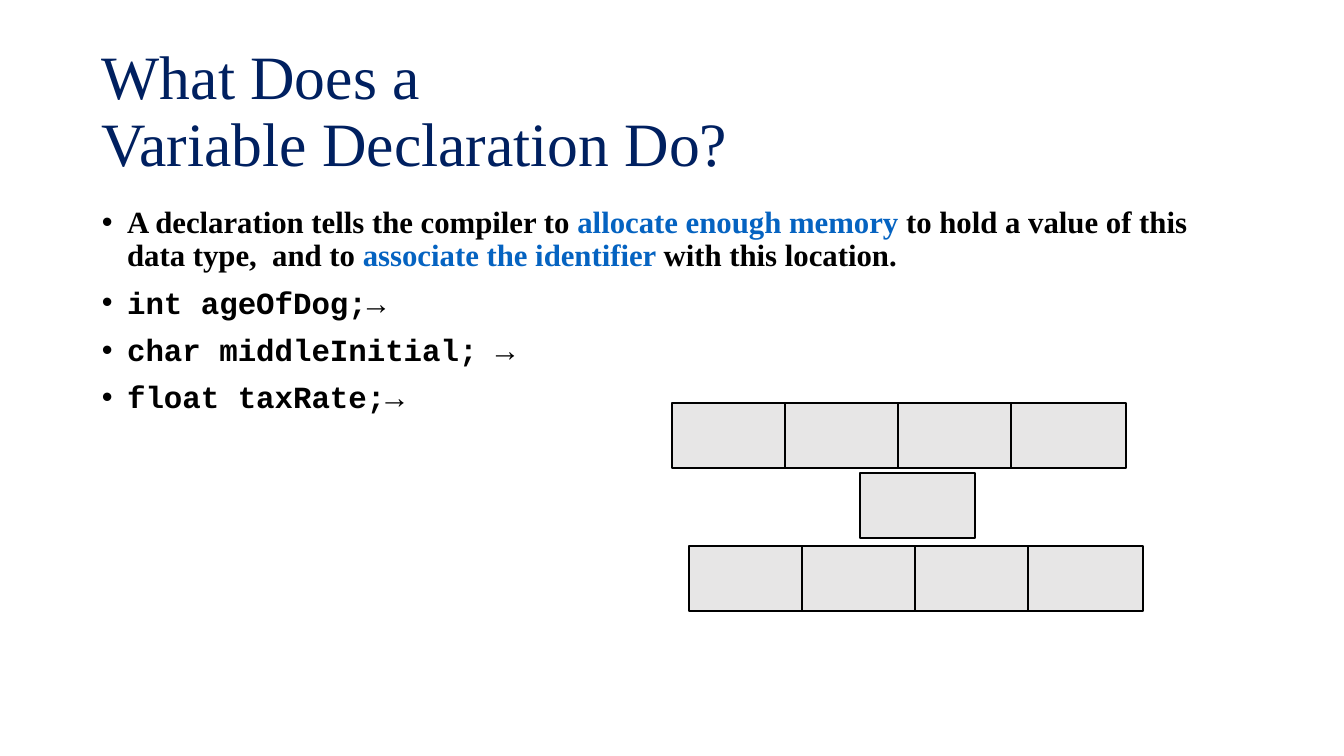
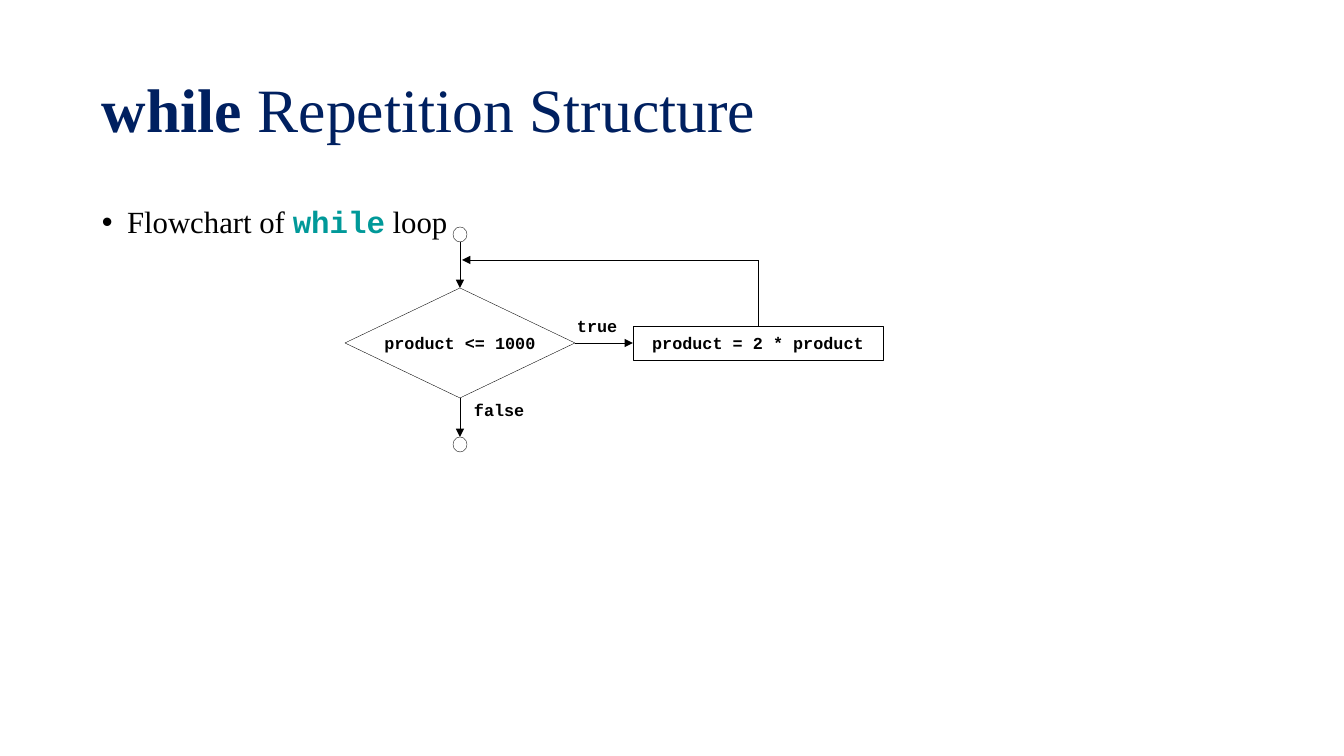
from lxml.etree import SubElement
from pptx import Presentation
from pptx.dml.color import RGBColor
from pptx.enum.shapes import MSO_CONNECTOR as CONNECTOR, MSO_SHAPE as SHAPE
from pptx.enum.text import MSO_ANCHOR as ANCHOR, PP_ALIGN as ALIGN
from pptx.oxml.ns import qn
from pptx.util import Pt

PX = 12192000 / 1344
SERIF, MONO = "Times New Roman", "Courier New"
NAVY, BLACK, BLUE, TEAL = "002060", "000000", "0563C1", "009999"
WHITE, GREY = "FFFFFF", "E7E6E6"
TITLE_SIZE, BODY_SIZE, LABEL_SIZE = 44, 22, 12
THIN = 0.25


def px(*lengths):
    return [round(length * PX) for length in lengths]


def rgb(value):
    return RGBColor.from_string(value)


prs = Presentation()
prs.slide_width, prs.slide_height = px(1344, 756)

# Titles and bullets: each run is (text, font, colour, bold)
slide_texts = [
    (
        [("What Does a \vVariable Declaration Do?", SERIF, NAVY, False)],
        [
            [
                ("A declaration tells the compiler to ", SERIF, BLACK, True),
                ("allocate enough memory ", SERIF, BLUE, True),
                ("to hold a value of this data type,  and to ", SERIF, BLACK, True),
                ("associate the identifier ", SERIF, BLUE, True),
                ("with this location.", SERIF, BLACK, True),
            ],
            [("int ageOfDog;→", MONO, BLACK, True)],
            [("char middleInitial; →", MONO, BLACK, True)],
            [("float taxRate;→", MONO, BLACK, True)],
        ],
    ),
    (
        [("while", SERIF, NAVY, True), (" Repetition Structure", SERIF, NAVY, False)],
        [
            [
                ("Flowchart of ", SERIF, BLACK, False),
                ("while", MONO, TEAL, True),
                (" loop", SERIF, BLACK, False),
            ],
        ],
    ),
]

slides = []
for title, bullets in slide_texts:
    slide = prs.slides.add_slide(prs.slide_layouts[6])
    slides.append(slide)
    for top, height, size, anchor, lines in [
        (40, 146, TITLE_SIZE, ANCHOR.MIDDLE, [title]),
        (202, 480, BODY_SIZE, ANCHOR.TOP, bullets),
    ]:
        frame = slide.shapes.add_textbox(*px(92, top, 1159, height)).text_frame
        frame.word_wrap = True
        frame.vertical_anchor = anchor
        for number, line in enumerate(lines):
            paragraph = frame.add_paragraph() if number else frame.paragraphs[0]
            paragraph.line_spacing = 0.9
            paragraph.space_before = Pt(10 if number else 0)
            if lines is bullets:
                properties = paragraph._p.get_or_add_pPr()
                properties.set("marL", "228600")
                properties.set("indent", "-228600")
                SubElement(properties, qn("a:buFont")).set("typeface", "Arial")
                SubElement(properties, qn("a:buChar")).set("char", "•")
            for text, font, color, bold in line:
                for part_number, part in enumerate(text.split("\v")):
                    if part_number:
                        paragraph.add_line_break()
                    run = paragraph.add_run()
                    run.text = part
                    run.font.name, run.font.size = font, Pt(size)
                    run.font.bold = bold
                    run.font.color.rgb = rgb(color)

declaration_slide, while_slide = slides

# Memory cells: one row per declared variable
CELL_WIDTH, CELL_HEIGHT, CELL_PITCH = 115, 65, 113
for left, top, byte_count in [(672, 403, 4), (860, 473, 1), (689, 546, 4)]:
    for byte in range(byte_count):
        cell = declaration_slide.shapes.add_shape(
            SHAPE.RECTANGLE,
            *px(left + byte * CELL_PITCH, top, CELL_WIDTH, CELL_HEIGHT))
        cell.shadow.inherit = False
        cell.fill.solid()
        cell.fill.fore_color.rgb = rgb(GREY)
        cell.line.color.rgb = rgb(BLACK)
        cell.line.width = Pt(1.5)

# Flowchart nodes
nodes = []
for kind, box, text in [
    (SHAPE.DIAMOND, (345, 288, 230, 110), "product <= 1000"),
    (SHAPE.RECTANGLE, (633, 326, 250, 34), "product = 2 * product"),
    (SHAPE.OVAL, (453, 227, 14, 15), ""),
    (SHAPE.OVAL, (453, 437, 14, 15), ""),
]:
    node = while_slide.shapes.add_shape(kind, *px(*box))
    node.shadow.inherit = False
    if kind == SHAPE.DIAMOND:
        node.fill.solid()
        node.fill.fore_color.rgb = rgb(WHITE)
    else:
        node.fill.background()
    node.line.color.rgb = rgb(BLACK)
    node.line.width = Pt(THIN)
    node.text_frame.text = text
    nodes.append(node)
condition, action, start, end = nodes

labels = []
for box, text in [((577, 316, 52, 30), "true"), ((474, 400, 63, 30), "false")]:
    label = while_slide.shapes.add_textbox(*px(*box))
    label.text_frame.text = text
    labels.append(label)

for item in [condition, action, *labels]:
    frame = item.text_frame
    frame.margin_left = frame.margin_right = frame.margin_top = frame.margin_bottom = 0
    frame.word_wrap = item in labels
    paragraph = frame.paragraphs[0]
    paragraph.alignment = ALIGN.LEFT if item in labels else ALIGN.CENTER
    font = paragraph.runs[0].font
    font.name, font.size, font.bold = MONO, Pt(LABEL_SIZE), True
    font.color.rgb = rgb(BLACK)

# Flow lines: ends, joined (node, side) at each end, arrowhead
for points, source, target, has_arrow in [
    ((460, 242, 460, 288), None, (condition, 0), True),
    ((460, 398, 460, 437), (condition, 2), (end, 0), True),
    ((575, 343, 633, 343), (condition, 3), (action, 1), True),
    ((758, 326, 758, 260), (action, 0), None, False),
    ((758, 260, 462, 260), None, None, True),
]:
    flow = while_slide.shapes.add_connector(CONNECTOR.STRAIGHT, *px(*points))
    if source:
        flow.begin_connect(*source)
    if target:
        flow.end_connect(*target)
    flow.line.color.rgb = rgb(BLACK)
    flow.line.width = Pt(THIN)
    if has_arrow:
        SubElement(flow.line._get_or_add_ln(), qn("a:tailEnd")).set("type", "triangle")
    SubElement(flow._element.spPr, qn("a:effectLst"))

prs.save("out.pptx")
